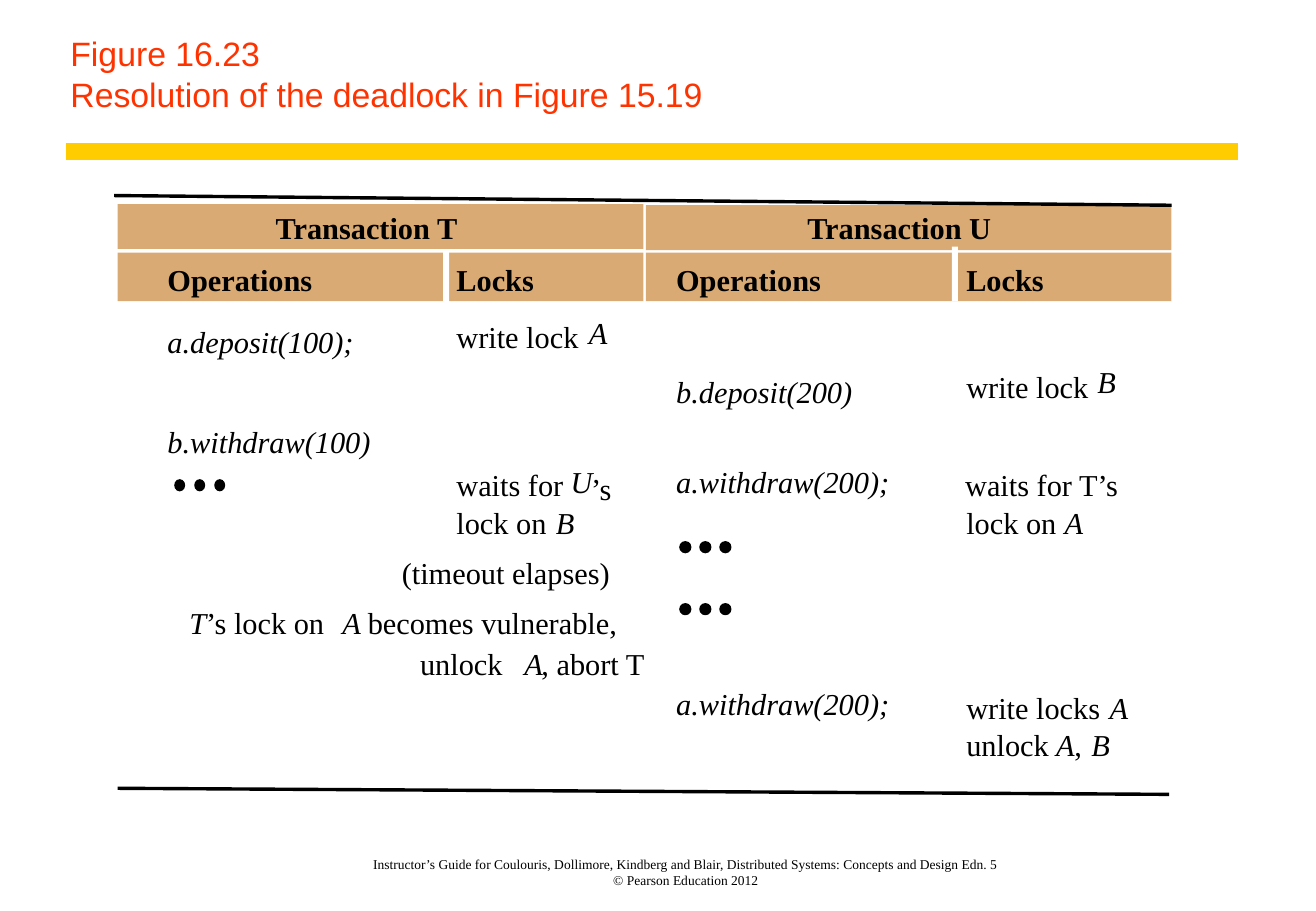
from dataclasses import dataclass

from lxml import etree
from pptx import Presentation
from pptx.dml.color import RGBColor as RGB
from pptx.enum.shapes import MSO_CONNECTOR as Connector, MSO_SHAPE as Shape
from pptx.enum.text import MSO_ANCHOR as Anchor, MSO_AUTO_SIZE as AutoSize, PP_ALIGN as Align
from pptx.oxml.ns import qn
from pptx.util import Inches, Pt

# Content
TITLE = ["Figure 16.23", "Resolution of the deadlock in Figure 15.19"]
FOOTER = [
    "Instructor’s Guide for Coulouris, Dollimore, Kindberg and Blair, "
    "Distributed Systems: Concepts and Design Edn. 5",
    "© Pearson Education 2012",
]

# Left edges of the four columns
T_OPS, T_LOCKS, U_OPS, U_LOCKS = 1.38, 3.76, 5.57, 7.96

# (left, top, width, text)
HEADINGS = [
    (2.27, 1.72, 1.52, "Transaction T"),
    (6.65, 1.72, 1.54, "Transaction U"),
    (T_OPS, 2.15, 1.2, "Operations"),
    (T_LOCKS, 2.15, 0.64, "Locks"),
    (U_OPS, 2.15, 1.2, "Operations"),
    (U_LOCKS, 2.15, 0.64, "Locks"),
]

# (left, top, width, text); words between asterisks are italic
STEPS = [
    (T_OPS, 2.66, 1.54, "*a.deposit(100);*"),
    (T_LOCKS, 2.62, 1.07, "write lock"),
    (4.85, 2.59, 0.15, "*A*"),
    (U_OPS, 3.07, 1.45, "*b.deposit(200)*"),
    (U_LOCKS, 3.03, 1.07, "write lock"),
    (9.04, 2.99, 0.15, "*B*"),
    (T_OPS, 3.48, 1.67, "*b.withdraw(100)*"),
    (T_LOCKS, 3.84, 0.94, "waits for"),
    (4.7, 3.81, 0.18, "*U*"),
    (4.87, 3.87, 0.18, "’s"),
    (U_OPS, 3.81, 1.76, "*a.withdraw(200);*"),
    (7.95, 3.84, 1.28, "waits for T’s"),
    (T_LOCKS, 4.15, 0.81, "lock on"),
    (4.58, 4.15, 0.17, "*B*"),
    (U_LOCKS, 4.15, 0.81, "lock on"),
    (8.77, 4.15, 0.15, "*A*"),
    (3.31, 4.56, 1.72, "(timeout elapses)"),
    (1.56, 4.97, 1.19, "*T*’s lock on"),
    (2.82, 4.97, 0.15, "*A*"),
    (3.03, 4.97, 2.06, "becomes vulnerable,"),
    (3.46, 5.31, 0.75, "unlock"),
    (4.32, 5.31, 0.15, "*A*"),
    (4.46, 5.31, 0.85, ", abort T"),
    (U_OPS, 5.64, 1.76, "*a.withdraw(200);*"),
    (U_LOCKS, 5.67, 1.17, "write locks"),
    (9.14, 5.67, 0.15, "*A*"),
    (U_LOCKS, 5.98, 0.74, "unlock"),
    (8.7, 5.98, 0.15, "*A*"),
    (8.85, 5.98, 0.13, ","),
    (8.99, 5.98, 0.15, "*B*"),
]

# Left and top of each row of three dots, and the width of a dot
ELLIPSES = [(1.44, 3.95, 0.08), (5.6, 4.46, 0.09), (5.6, 4.97, 0.09)]
DOT_PITCH, DOT_HEIGHT = 0.165, 0.09

# (left, top, width, height)
HEADER_BANDS = [
    (0.97, 1.68, 4.33, 0.37), (5.32, 1.69, 4.33, 0.37),
    (0.97, 2.08, 4.33, 0.4), (5.32, 2.08, 4.33, 0.4),
]
COLUMN_GAPS = [(3.65, 2.07, 0.05, 0.45), (7.84, 2.03, 0.05, 0.45)]


@dataclass(frozen=True)
class Theme:
    title: RGB = RGB(0xFF, 0x33, 0x00)
    bar: RGB = RGB(0xFF, 0xCC, 0x00)
    band: RGB = RGB(0xD9, 0xAA, 0x73)
    ink: RGB = RGB(0, 0, 0)
    paper: RGB = RGB(0xFF, 0xFF, 0xFF)
    title_font: str = "Arial"
    body_font: str = "Times New Roman"
    title_size: int = 20
    body_size: int = 18
    footer_size: int = 8


theme = Theme()


def add_run(paragraph, text, size=theme.body_size, font=theme.body_font,
            color=theme.ink, bold=False, italic=False):
    run = paragraph.add_run()
    run.text = text
    run.font.size, run.font.name = Pt(size), font
    run.font.bold, run.font.italic = bold, italic
    run.font.color.rgb = color


def add_lines(paragraph, lines, **style):
    for number, line in enumerate(lines):
        if number:
            paragraph.add_line_break()
        add_run(paragraph, line, **style)


def set_frame(frame, insets=(0, 0, 0, 0), anchor=Anchor.TOP, wrap=True):
    (frame.margin_left, frame.margin_top,
     frame.margin_right, frame.margin_bottom) = map(Inches, insets)
    frame.auto_size = AutoSize.NONE
    frame.vertical_anchor, frame.word_wrap = anchor, wrap
    return frame.paragraphs[0]


def add_label(slide, left, top, width, text, bold=False):
    box = slide.shapes.add_textbox(*map(Inches, (left, top, width, 0.3)))
    paragraph = set_frame(box.text_frame, wrap=False)
    for position, part in enumerate(text.split("*")):
        if part:
            add_run(paragraph, part, bold=bold, italic=position % 2 == 1)


def add_filled(shapes, preset, bounds, color, outlined=False):
    shape = shapes.add_shape(preset, *map(Inches, bounds))
    shape.shadow.inherit = False
    shape.fill.solid()
    shape.fill.fore_color.rgb = color
    if outlined:
        shape.line.color.rgb, shape.line.width = color, Pt(0.75)
    else:
        shape.line.fill.background()


def add_rule(slide, ends, color, width):
    rule = slide.shapes.add_connector(Connector.STRAIGHT, *map(Inches, ends))
    rule.line.color.rgb, rule.line.width = color, Pt(width)
    etree.SubElement(rule.line._get_or_add_ln().getparent(), qn("a:effectLst"))


def main():
    deck = Presentation()
    deck.slide_width, deck.slide_height = Inches(10.84), Inches(7.5)
    slide = deck.slides.add_slide(deck.slide_layouts[5])

    # Title and the bar under it
    title = slide.shapes.title
    title.left, title.top, title.width, title.height = map(Inches, (0.48, 0, 9.72, 1))
    heading = set_frame(title.text_frame, (0.1, 0.06, 0.14, 0.06), Anchor.BOTTOM)
    heading.alignment = Align.LEFT
    add_lines(heading, TITLE, size=theme.title_size, font=theme.title_font, color=theme.title)
    add_rule(slide, (0.54, 1.25, 10.2, 1.25), theme.bar, 10)

    # Header bands, the gaps between columns and the rules
    for bounds in HEADER_BANDS:
        add_filled(slide.shapes, Shape.RECTANGLE, bounds, theme.band)
    for bounds in COLUMN_GAPS:
        add_filled(slide.shapes, Shape.RECTANGLE, bounds, theme.paper)
    for ends in [(0.94, 1.61, 9.65, 1.69), (0.97, 6.49, 9.63, 6.54)]:
        add_rule(slide, ends, theme.ink, 2)

    # Headings and transaction steps
    for label in HEADINGS:
        add_label(slide, *label, bold=True)
    for label in STEPS:
        add_label(slide, *label)

    # Rows of dots
    for left, top, width in ELLIPSES:
        dots = slide.shapes.add_group_shape().shapes
        for number in range(3):
            bounds = (left + number * DOT_PITCH, top, width, DOT_HEIGHT)
            add_filled(dots, Shape.OVAL, bounds, theme.ink, outlined=True)

    # Footer
    footer = slide.shapes.add_textbox(*map(Inches, (2.35, 6.92, 6.6, 0.39)))
    credit = set_frame(footer.text_frame, (0.04, 0, 0.04, 0), Anchor.BOTTOM)
    credit.alignment = Align.CENTER
    add_lines(credit, FOOTER, size=theme.footer_size)

    deck.save("out.pptx")


if __name__ == "__main__":
    main()
